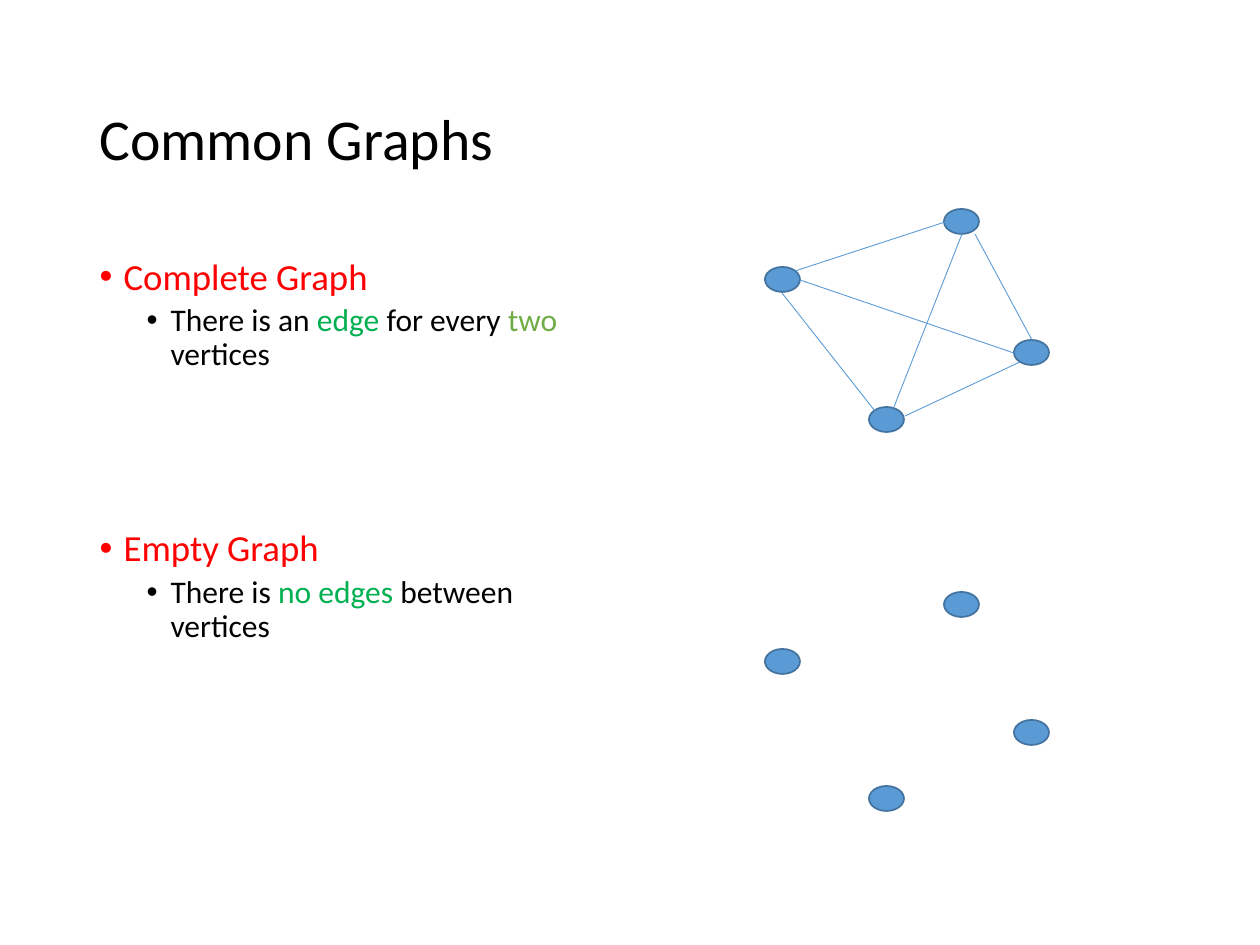
from lxml import etree
from pptx import Presentation
from pptx.dml.color import RGBColor
from pptx.enum.shapes import MSO_CONNECTOR, MSO_SHAPE
from pptx.enum.text import MSO_ANCHOR, PP_ALIGN
from pptx.oxml.ns import qn
from pptx.util import Pt

LINE = MSO_CONNECTOR.STRAIGHT
OVAL = MSO_SHAPE.OVAL
MIDDLE = MSO_ANCHOR.MIDDLE
TOP = MSO_ANCHOR.TOP
LEFT = PP_ALIGN.LEFT

BLACK = RGBColor(0x00, 0x00, 0x00)
RED = RGBColor(0xFF, 0x00, 0x00)
GREEN = RGBColor(0x00, 0xB0, 0x50)
LIME = RGBColor(0x70, 0xAD, 0x47)
BLUE = RGBColor(0x5B, 0x9B, 0xD5)
NAVY = RGBColor(0x43, 0x73, 0x9E)

SCALE = 914400 / 126
FONT = "Calibri"
NODE = (35, 25)
NODES = [(765, 58), (1014, 131), (869, 198), (944, 0)]
EDGES = [
    (1032, 340, 975, 234),
    (945, 222, 795, 271),
    (894, 407, 962, 234),
    (782, 293, 875, 411),
    (800, 280, 1014, 353),
    (1020, 362, 905, 416),
]
LEVELS = [(21, 24, -24), (18, 71, -24)]
ITEMS = [
    (0, 0, [("Complete Graph", RED)]),
    (1, 3.8, [("There is an ", BLACK), ("edge", GREEN), (" for every ", BLACK),
              ("two", LIME), (" vertices", BLACK)]),
    (0, 90, [("Empty Graph", RED)]),
    (1, 3.8, [("There is ", BLACK), ("no edges ", GREEN),
              ("between vertices", BLACK)]),
]


def emu(px):
    return round(px * SCALE)


class Deck:
    """Holds the style and the current slide."""

    def __init__(self):
        self.prs = Presentation()
        self.prs.slide_width = emu(1260)
        self.prs.slide_height = emu(945)
        self.slide = self.prs.slides.add_slide(self.prs.slide_layouts[1])

    def place(self, holder, box, anchor):
        holder.left, holder.top, holder.width, holder.height = map(emu, box)
        frame = holder.text_frame
        frame.word_wrap = True
        frame.vertical_anchor = anchor
        return frame

    def add_runs(self, para, runs, size, gap=0):
        para.alignment = LEFT
        para.line_spacing = 0.9
        para.space_before = Pt(gap)
        para.space_after = Pt(0)
        for text, color in runs:
            run = para.add_run()
            run.text = text
            run.font.name = FONT
            run.font.size = Pt(size)
            run.font.color.rgb = color

    def title(self, text, box):
        frame = self.place(self.slide.shapes.title, box, MIDDLE)
        self.add_runs(frame.paragraphs[0], [(text, BLACK)], 33)

    def bullets(self, items, box):
        frame = self.place(self.slide.placeholders[1], box, TOP)
        for i, (level, gap, runs) in enumerate(items):
            para = frame.add_paragraph() if i else frame.paragraphs[0]
            size, margin, indent = LEVELS[level]
            para.level = level
            props = para._p.get_or_add_pPr()
            props.set("marL", str(emu(margin)))
            props.set("indent", str(emu(indent)))
            etree.SubElement(props, qn("a:buFont")).set("typeface", "Arial")
            etree.SubElement(props, qn("a:buChar")).set("char", "•")
            self.add_runs(para, runs, size, gap)

    def node(self, group, x, y):
        oval = group.shapes.add_shape(OVAL, *map(emu, (x, y, *NODE)))
        oval.shadow.inherit = False
        oval.fill.solid()
        oval.fill.fore_color.rgb = BLUE
        oval.line.color.rgb = NAVY
        oval.line.width = Pt(1)

    def edge(self, group, ends):
        edge = group.shapes.add_connector(LINE, *map(emu, ends))
        edge.line.color.rgb = BLUE
        edge.line.width = Pt(0.5)
        etree.SubElement(edge._element.spPr, qn("a:effectLst"))

    def graph(self, top, ratio=1, edges=()):
        group = self.slide.shapes.add_group_shape()
        for x, drop in NODES:
            self.node(group, x, top + round(drop * ratio))
        for ends in edges:
            self.edge(group, ends)


def main():
    deck = Deck()
    deck.title("Common Graphs", (87, 50, 1086, 183))
    deck.bullets(ITEMS, (87, 252, 535, 600))
    deck.graph(592, 0.98)
    deck.graph(209, edges=EDGES)
    deck.prs.save("out.pptx")


if __name__ == "__main__":
    main()
